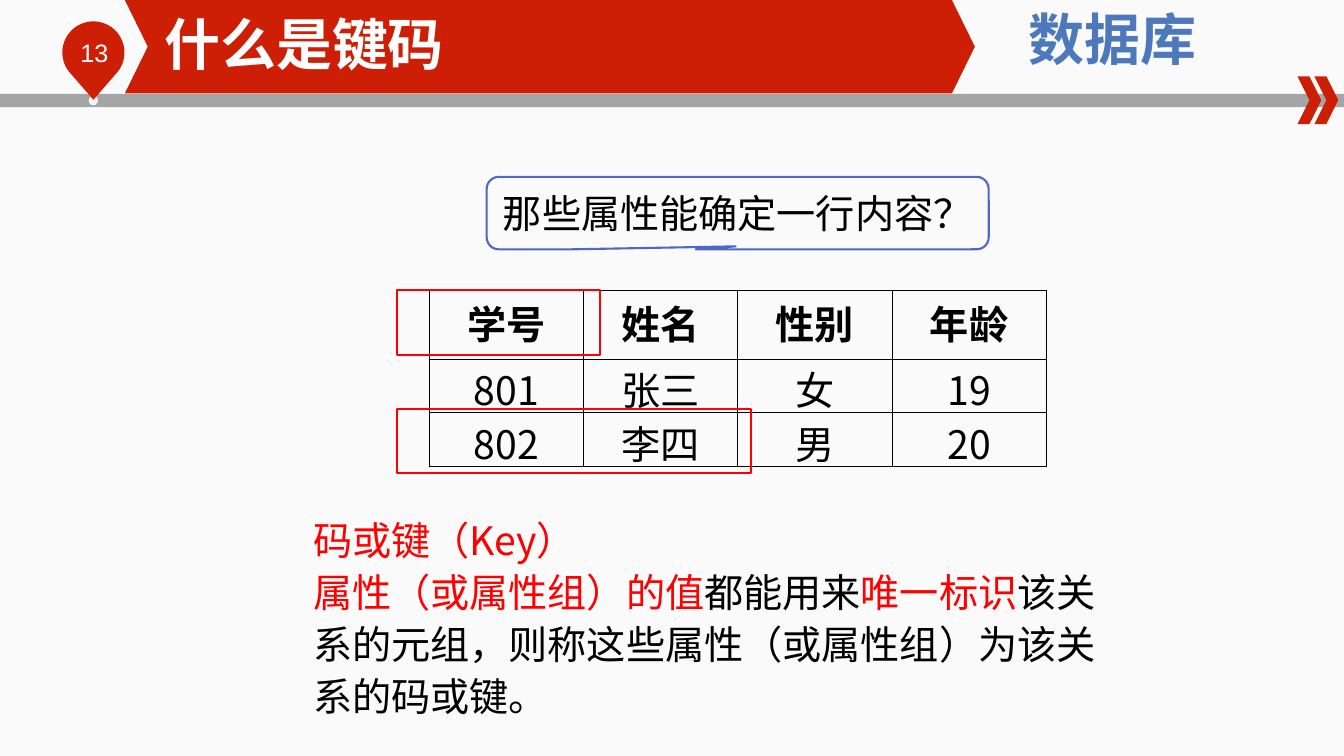
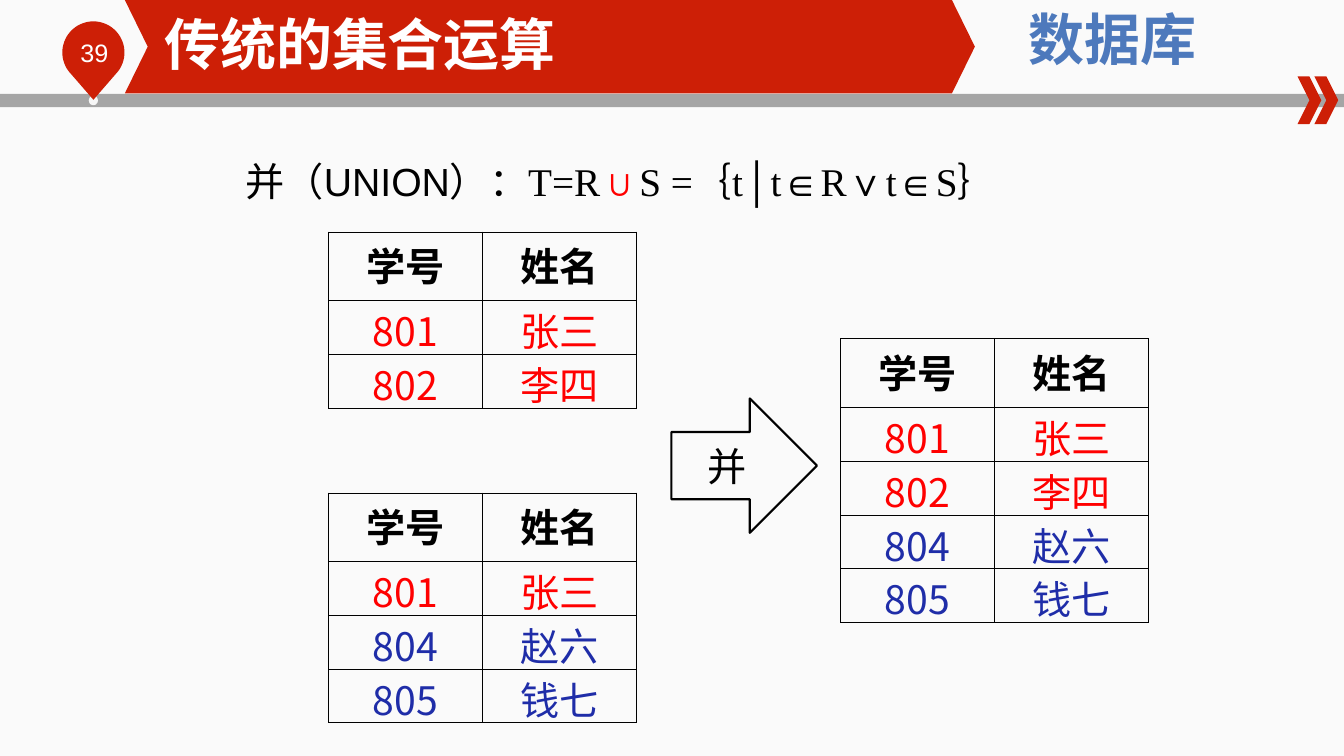
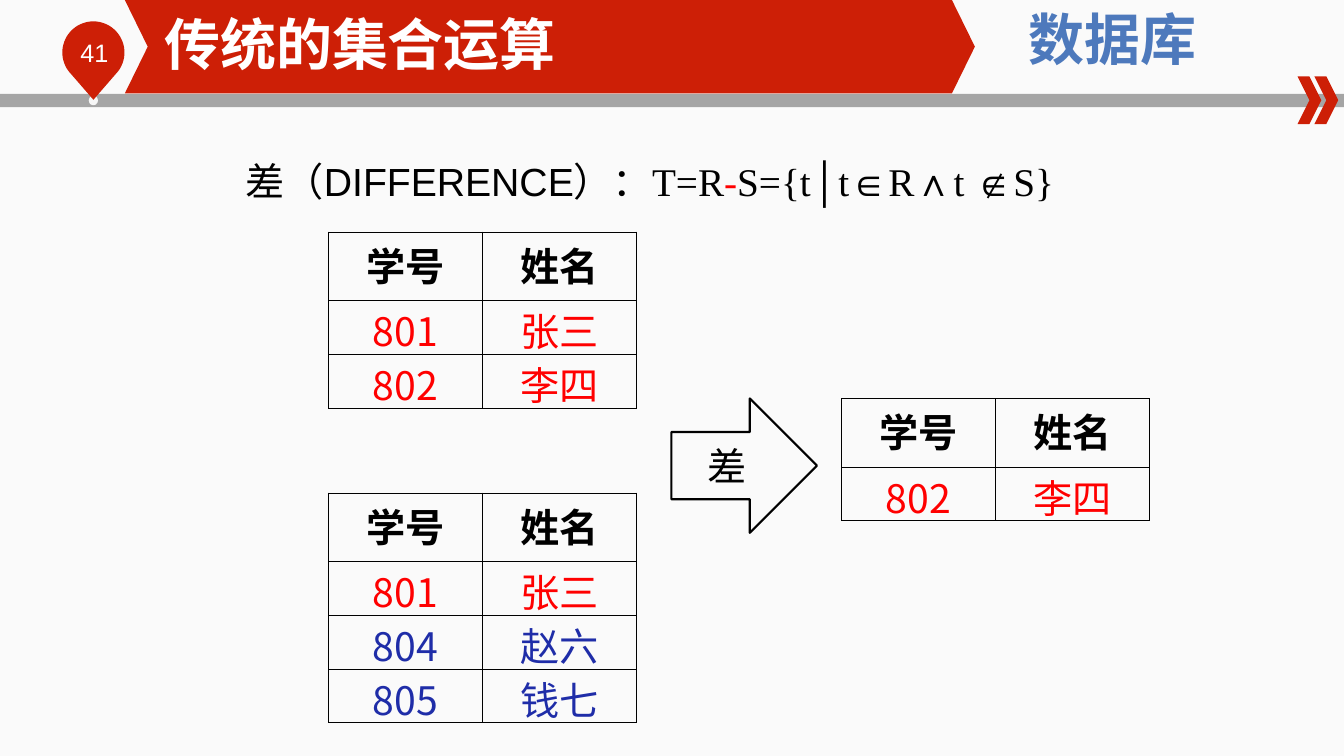
from math import cos, radians, sin

from lxml.etree import SubElement
from pptx import Presentation
from pptx.dml.color import RGBColor
from pptx.enum.shapes import MSO_SHAPE as SHAPE
from pptx.enum.text import MSO_ANCHOR as ANCHOR, PP_ALIGN as ALIGN
from pptx.oxml import parse_xml
from pptx.oxml.ns import nsdecls, qn
from pptx.util import Pt

RED = RGBColor(0xCD, 0x1F, 0x06)
GREY = RGBColor(0xA5, 0xA5, 0xA5)
PALE = RGBColor(0xF6, 0xF6, 0xF6)
WHITE = RGBColor(0xFF, 0xFF, 0xFF)
BLACK = RGBColor(0, 0, 0)
COURSE_BLUE = RGBColor(0x4D, 0x79, 0xBC)
CALLOUT_BLUE = RGBColor(0x4E, 0x67, 0xC8)
MARK_RED = RGBColor(0xFF, 0, 0)
MARK_BLUE = RGBColor(0x1F, 0x2D, 0xA8)
BACKDROP = (RGBColor(0xFA, 0xFA, 0xFA), RGBColor(0xFC, 0xFC, 0xFC))

SANS, CJK, SERIF = "Arial", "Noto Sans CJK SC", "Times New Roman"
COLUMN, HEADER_ROW, BODY_ROW = 110.2, 49, 38.4
NAMES = {"801": "张三", "802": "李四", "804": "赵六", "805": "钱七"}
SET_R, SET_S = ["801", "802"], ["801", "804", "805"]
CELL_FORMAT = {
    "margin_left": Pt(0.75), "margin_right": Pt(0.75),
    "margin_top": Pt(0.75), "margin_bottom": Pt(3.6),
    "vertical_anchor": ANCHOR.MIDDLE,
}
TITLE_FORMAT = {
    "margin_left": 0, "margin_right": 0, "margin_top": 0, "margin_bottom": 0,
    "vertical_anchor": ANCHOR.MIDDLE, "word_wrap": True,
}


def apply_format(target, values):
    for key, value in values.items():
        setattr(target, key, value)


def box(*lengths):
    return [Pt(length) for length in lengths]


def write(paragraph, text, color=BLACK, font=SANS, size=28, bold=False):
    run = paragraph.add_run()
    run.text = text
    apply_format(run.font, {"name": font, "size": Pt(size), "bold": bold})
    run.font.color.rgb = color
    SubElement(run._r.get_or_add_rPr(), qn("a:ea"), typeface=CJK)


def paint(shape, fill=None, line=None):
    shape.shadow.inherit = False
    if fill is None:
        shape.fill.background()
    else:
        shape.fill.solid()
        shape.fill.fore_color.rgb = fill
    if line is None:
        shape.line.fill.background()
    else:
        shape.line.color.rgb = line
        shape.line.width = Pt(1.5)
    return shape


def add_figure(slide, kind, place, fill=None, line=None, adjustments=()):
    shape = slide.shapes.add_shape(kind, *box(*place))
    for index, value in enumerate(adjustments):
        shape.adjustments[index] = value
    return paint(shape, fill, line)


def label(shape, text, font):
    frame = shape.text_frame
    frame.vertical_anchor = ANCHOR.MIDDLE
    frame.paragraphs[0].alignment = ALIGN.CENTER
    write(frame.paragraphs[0], text, font=font)


def add_text(slide, place, paragraphs, **paragraph_format):
    text_box = slide.shapes.add_textbox(*box(*place))
    frame = text_box.text_frame
    frame.word_wrap = True
    for index, runs in enumerate(paragraphs):
        paragraph = frame.add_paragraph() if index else frame.paragraphs[0]
        apply_format(paragraph, paragraph_format)
        for text, formats in runs:
            write(paragraph, text, **formats)
    return text_box


def add_pin(slide):
    center_x, center_y, radius, tip_y = 66.8, 37.5, 22.2, 71.3
    rim = [
        (Pt(center_x + radius * cos(radians(angle))),
         Pt(center_y + radius * sin(radians(angle))))
        for angle in range(135, 406, 5)
    ]
    builder = slide.shapes.build_freeform(Pt(center_x), Pt(tip_y))
    builder.add_line_segments(rim, close=True)
    return paint(builder.convert_to_shape(), RED)


def decorate_layout(layout, slide):
    background = layout.background.fill
    background.gradient()
    background.gradient_angle = 270
    for stop, color in zip(background.gradient_stops, BACKDROP):
        stop.color.rgb = color
    decorations = [
        add_figure(slide, SHAPE.RECTANGLE, (0, 67.1, 960.48, 9.4), GREY),
        add_figure(slide, SHAPE.OVAL, (63.4, 68.4, 6.6, 6.8), PALE),
        add_pin(slide),
        *(add_figure(slide, SHAPE.CHEVRON, (left, 54.6, 17, 34), RED)
          for left in (927.3, 939.4)),
        add_figure(slide, SHAPE.CHEVRON, (89.2, 0, 607.5, 66.7), RED,
                   adjustments=[0.246]),
        add_text(slide, (697, 0, 196, 55.5),
                 [[("数据库", {"color": COURSE_BLUE, "font": CJK,
                            "size": 40, "bold": True})]],
                 alignment=ALIGN.CENTER),
    ]
    for decoration in decorations:
        layout.shapes.element.append(decoration.element)


def add_heading(slide, title, number):
    heading = slide.shapes.title
    place = box(117.4, 6.5, 476, 48.2)
    apply_format(heading, dict(zip(("left", "top", "width", "height"), place)))
    apply_format(heading.text_frame, TITLE_FORMAT)
    heading.text_frame.paragraphs[0].alignment = ALIGN.LEFT
    write(heading.text_frame.paragraphs[0], title, WHITE, size=40, bold=True)
    add_text(slide, (50.4, 23, 54.7, 29),
             [[(number, {"color": WHITE, "size": 18})]])


def add_borders(cell):
    properties = cell._tc.get_or_add_tcPr()
    for index, side in enumerate(("lnL", "lnR", "lnT", "lnB")):
        properties.insert(index, parse_xml(
            f'<a:{side} {nsdecls("a")} w="6350"><a:solidFill>'
            f'<a:srgbClr val="{BLACK}"/></a:solidFill></a:{side}>'))


def add_grid(slide, left, top, rows, colors):
    width = COLUMN * len(rows[0])
    height = HEADER_ROW + BODY_ROW * (len(rows) - 1)
    table = slide.shapes.add_table(
        len(rows), len(rows[0]), *box(left, top, width, height)).table
    apply_format(table, {"first_row": False, "horz_banding": False})
    for column in table.columns:
        column.width = Pt(COLUMN)
    for index, (texts, color) in enumerate(zip(rows, colors)):
        table.rows[index].height = Pt(BODY_ROW if index else HEADER_ROW)
        for cell, text in zip(table.rows[index].cells, texts):
            apply_format(cell, CELL_FORMAT)
            cell.fill.background()
            add_borders(cell)
            paragraph = cell.text_frame.paragraphs[0]
            paragraph.alignment = ALIGN.CENTER
            write(paragraph, text, color, CJK if text.isdigit() else SANS,
                  bold=index == 0)


def add_relation(slide, left, top, numbers):
    rows = [("学号", "姓名"), *((number, NAMES[number]) for number in numbers)]
    colors = [BLACK, *(MARK_RED if number in SET_R else MARK_BLUE
                       for number in numbers)]
    add_grid(slide, left, top, rows, colors)


def fill_key_slide(slide):
    add_heading(slide, "什么是键码", "13")
    rows = [("学号", "姓名", "性别", "年龄"),
            ("801", NAMES["801"], "女", "19"),
            ("802", NAMES["802"], "男", "20")]
    add_grid(slide, 306.9, 207.4, rows, [BLACK] * len(rows))
    question = add_figure(slide, SHAPE.ROUNDED_RECTANGULAR_CALLOUT,
                          (347.8, 126.3, 358.8, 51.8), line=CALLOUT_BLUE,
                          adjustments=[-0.004, 0.459, 0.167])
    label(question, "那些属性能确定一行内容？", CJK)
    for top, width in ((207.4, 145.4), (292, 253)):
        add_figure(slide, SHAPE.RECTANGLE, (283.7, top, width, 46),
                   line=MARK_RED)
    marked, plain = {"color": MARK_RED, "font": CJK}, {"font": CJK}
    add_text(slide, (216.7, 362.2, 590.4, 157), [
        [("码或键（Key）", marked)],
        [("属性（或属性组）的值", marked), ("都能用来", plain),
         ("唯一标识", marked),
         ("该关系的元组，则称这些属性（或属性组）为该关系的码或键。", plain)],
    ], line_spacing=Pt(37))


def fill_operation_slide(slide, number, name, english, operator, condition,
                         result, result_place):
    add_heading(slide, "传统的集合运算", number)
    add_text(slide, (168.5, 105.8, 629.3, 44.6), [[
        (f"{name}（{english}）：", {}),
        ("T=R", {"font": SERIF}),
        (operator, {"font": SERIF, "color": MARK_RED}),
        (condition, {"font": SERIF}),
    ]], line_spacing=Pt(37))
    add_relation(slide, 234.7, 165.6, SET_R)
    add_relation(slide, 234.7, 352.1, SET_S)
    arrow = add_figure(slide, SHAPE.RIGHT_ARROW, (479.8, 284.6, 104, 96),
                       line=BLACK)
    label(arrow, name, SANS)
    add_relation(slide, *result_place, result)


def main():
    deck = Presentation()
    apply_format(deck, {"slide_width": Pt(960.48), "slide_height": Pt(540)})
    layout = deck.slide_layouts.get_by_name("Title Only")
    key, union, difference = [deck.slides.add_slide(layout) for _ in range(3)]
    decorate_layout(layout, key)
    fill_key_slide(key)
    fill_operation_slide(
        union, "39", "并", "UNION", "∪", "S =｛t│t∈R∨t∈S｝",
        sorted({*SET_R, *SET_S}), (600.6, 242))
    fill_operation_slide(
        difference, "41", "差", "DIFFERENCE", "-", "S={t│t∈R∧t ∉S}",
        sorted({*SET_R} - {*SET_S}), (601.3, 284.6))
    deck.save("out.pptx")


if __name__ == "__main__":
    main()
